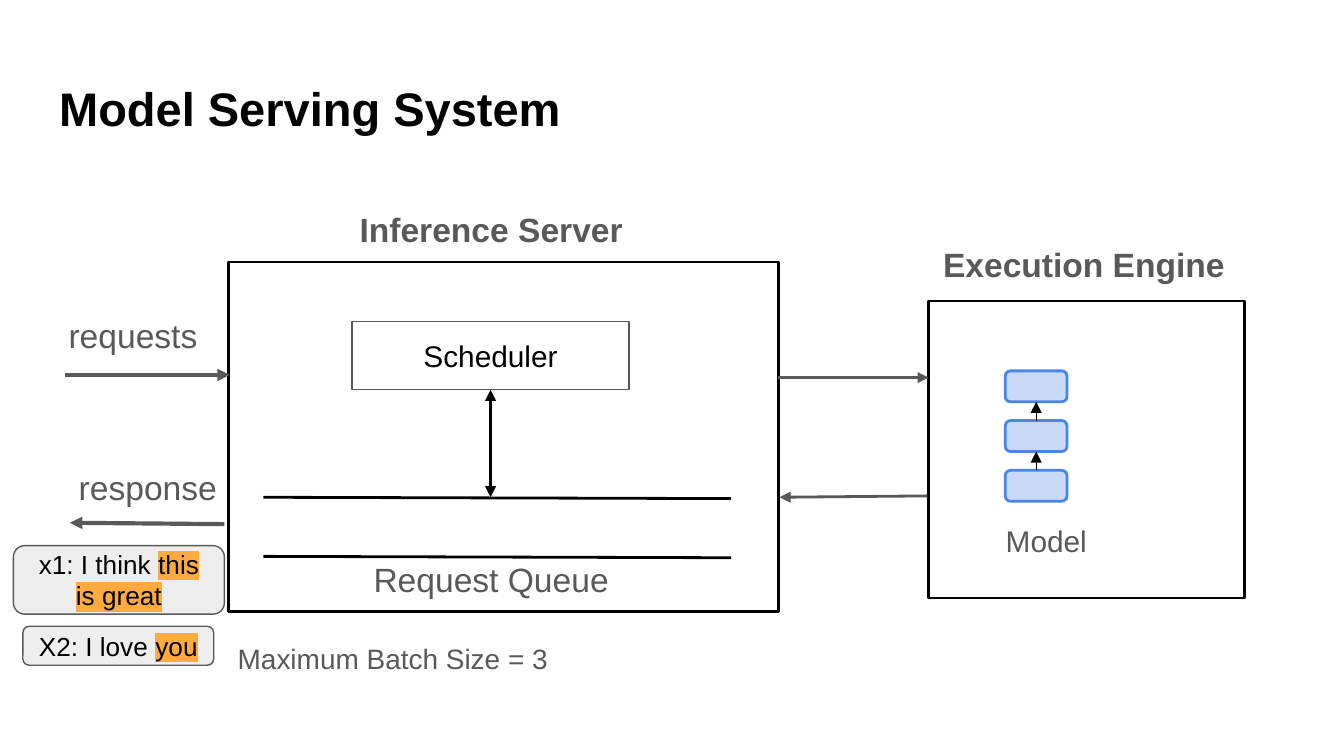
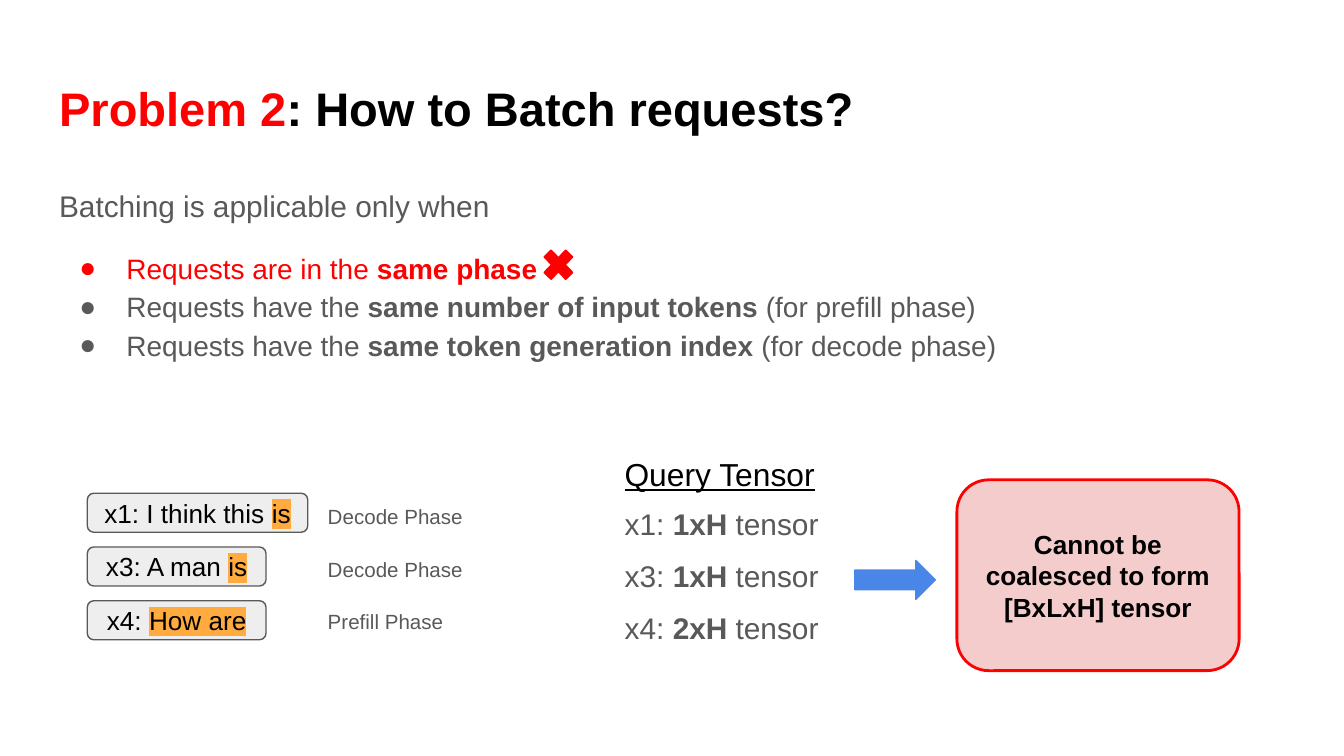
from lxml import etree
from pptx import Presentation
from pptx.dml.color import RGBColor
from pptx.enum.shapes import MSO_CONNECTOR, MSO_SHAPE as Geo
from pptx.enum.text import MSO_ANCHOR as Anchor, MSO_AUTO_SIZE as AutoSize, PP_ALIGN as Align
from pptx.oxml.ns import qn
from pptx.util import Inches, Pt

FONT = "Arial"
COLORS = {
    "black": "000000", "white": "FFFFFF", "gray": "595959", "pale": "EEEEEE",
    "red": "FF0000", "pink": "F4CCCC", "blue": "4A86E8", "sky": "C9DAF8",
    "orange": "FFAB40",
}
RGB = {name: RGBColor.from_string(value) for name, value in COLORS.items()}


def write(paragraph, text, size, color="gray", bold=False, align=Align.LEFT, mark="bold"):
    """Fill a paragraph; pieces between bars are bold, red or highlighted, as mark says."""
    paragraph.alignment = align
    font = paragraph.font
    font.name, font.size, font.bold = FONT, Pt(size), bold
    font.color.rgb = RGB[color]
    for index, piece in enumerate(text.split("|")):
        if not piece:
            continue
        run = paragraph.add_run()
        run.text = piece
        if index % 2 == 0:
            continue
        if mark == "bold":
            run.font.bold = True
        elif mark == "red":
            run.font.color.rgb = RGB["red"]
        else:
            highlight = etree.SubElement(run.font._element, qn("a:highlight"))
            etree.SubElement(highlight, qn("a:srgbClr"), val=COLORS["orange"])


def add_part(shapes, at, text="", size=14, color="gray", bold=False, align=Align.CENTER,
             mark="highlight", anchor=Anchor.MIDDLE, geometry=None, fill="white",
             line="gray", weight=0.75):
    """Add a text box, or a filled shape if a geometry is given."""
    box = [Inches(length) for length in at]
    if geometry is None:
        part = shapes.add_textbox(*box)
    else:
        part = shapes.add_shape(geometry, *box)
        part.shadow.inherit = False
        part.fill.solid()
        part.fill.fore_color.rgb = RGB[fill]
        part.line.color.rgb = RGB[line]
        part.line.width = Pt(weight)
    frame = part.text_frame
    frame.word_wrap = True
    frame.vertical_anchor = anchor
    frame.margin_left = frame.margin_right = frame.margin_top = frame.margin_bottom = Inches(0.1)
    if text:
        write(frame.paragraphs[0], text, size, color, bold, align, mark)
    return part


prs = Presentation()
prs.slide_width = Inches(10)
prs.slide_height = prs.slide_width * 9 // 16
serving = prs.slides.add_slide(prs.slide_layouts[5])
batching = prs.slides.add_slide(prs.slide_layouts[1])

# Placeholders shared by both slides
for slide, heading in ((serving, "Model Serving System"),
                       (batching, "|Problem 2|: How to Batch requests?")):
    for placeholder in slide.placeholders:
        is_title = placeholder.placeholder_format.idx == 0
        placeholder.left, placeholder.width = Inches(0.34), Inches(9.32)
        placeholder.top = Inches(0.49 if is_title else 1.26)
        placeholder.height = Inches(0.63 if is_title else 3.74)
        frame = placeholder.text_frame
        frame.auto_size = AutoSize.NONE
        frame.vertical_anchor = Anchor.TOP
        frame.margin_left = frame.margin_right = Inches(0.1)
        frame.margin_top = frame.margin_bottom = Inches(0.1)
    write(slide.shapes.title.text_frame.paragraphs[0], heading, 25.2, "black", True, mark="red")

# Slide 1: server, engine and the requests between them
shapes = serving.shapes
for frame_at in ((1.7, 1.95, 4.09, 2.6), (6.91, 2.24, 2.35, 2.21)):
    add_part(shapes, frame_at, geometry=Geo.RECTANGLE, line="black", weight=1.5)
scheduler = add_part(shapes, (2.62, 2.39, 2.06, 0.51), "Scheduler", 16, "black",
                     geometry=Geo.RECTANGLE)

for at, label, size, bold, align in (
    ((0.34, 2.31, 1.3, 0.37), "requests", 18, False, Align.CENTER),
    ((0.45, 3.44, 1.3, 0.37), "response", 18, False, Align.CENTER),
    ((2.31, 1.52, 2.69, 0.37), "Inference Server", 18, True, Align.CENTER),
    ((6.72, 1.78, 2.69, 0.37), "Execution Engine", 18, True, Align.CENTER),
    ((2.42, 4.18, 2.47, 0.26), "Request Queue", 18, False, Align.CENTER),
    ((1.67, 4.71, 2.69, 0.37), "Maximum Batch Size = 3", 15, False, Align.LEFT),
    ((7.3, 3.89, 0.97, 0.26), "Model", 16, False, Align.CENTER),
):
    add_part(shapes, at, label, size, bold=bold, align=align)

for at, response in (((0.1, 4.06, 1.57, 0.51), "x1: I think |this is great|"),
                     ((0.17, 4.66, 1.42, 0.29), "X2: I love |you|")):
    add_part(shapes, at, response, color="black", geometry=Geo.ROUNDED_RECTANGLE, fill="pale")

model = shapes.add_group_shape().shapes
layers = [add_part(model, (7.48, 3.5 - 0.37 * i, 0.46, 0.23), geometry=Geo.ROUNDED_RECTANGLE,
                   fill="sky", line="blue", weight=1.5) for i in range(3)]

# Each link: start and end, colour, weight, arrowheads, joined start and end shapes
links = [
    (shapes, (0.48, 2.79, 1.71, 2.79), "gray", 2.25, ["tailEnd"], None, None),
    (shapes, (1.67, 3.9, 0.52, 3.89), "gray", 2.25, ["tailEnd"], None, None),
    (shapes, (5.79, 2.81, 6.91, 2.81), "gray", 1.5, ["tailEnd"], None, None),
    (shapes, (6.9, 3.69, 5.8, 3.7), "gray", 1.5, ["tailEnd"], None, None),
    (shapes, (1.96, 3.7, 5.44, 3.71), "black", 1.5, [], None, None),
    (shapes, (1.96, 4.14, 5.44, 4.15), "black", 1.5, [], None, None),
    (shapes, (3.65, 2.9, 3.65, 3.7), "black", 1.5, ["headEnd", "tailEnd"], (scheduler, 2), None),
]
for i, (lower, upper) in enumerate(zip(layers, layers[1:])):
    y = 3.5 - 0.37 * i
    links.append((model, (7.71, y, 7.71, y - 0.14), "black", 0.75, ["tailEnd"],
                  (lower, 0), (upper, 2)))
for owner, ends, color, weight, heads, start, end in links:
    link = owner.add_connector(MSO_CONNECTOR.STRAIGHT, *[Inches(v) for v in ends])
    if start:
        link.begin_connect(*start)
    if end:
        link.end_connect(*end)
    link.line.color.rgb = RGB[color]
    link.line.width = Pt(weight)
    for head in heads:
        etree.SubElement(link.line._get_or_add_ln(), qn(f"a:{head}"), type="triangle")
    etree.SubElement(link._element.spPr, qn("a:effectLst"))

# Slide 2: conditions for batching
conditions = batching.placeholders[1].text_frame
intro = conditions.paragraphs[0]
intro_props = intro._p.get_or_add_pPr()
intro_props.set("marL", "0")
intro_props.set("indent", "0")
etree.SubElement(intro_props, qn("a:buNone"))
intro.line_spacing, intro.space_before = 1.15, Pt(0)
write(intro, "Batching is applicable only when", 16)

for text, color, gap in (
    ("Requests are in the |same phase|", "red", 12),
    ("Requests have the |same number of input tokens| (for prefill phase)", "gray", 0),
    ("Requests have the |same token generation index| (for decode phase)", "gray", 0),
):
    condition = conditions.add_paragraph()
    props = condition._p.get_or_add_pPr()
    props.set("marL", str(Inches(0.5)))
    props.set("indent", str(Inches(-0.35)))
    bullet_color = etree.SubElement(props, qn("a:buClr"))
    etree.SubElement(bullet_color, qn("a:srgbClr"), val=COLORS[color])
    etree.SubElement(props, qn("a:buFont"), typeface=FONT)
    etree.SubElement(props, qn("a:buChar"), char="●")
    condition.line_spacing, condition.space_before = 1.15, Pt(gap)
    write(condition, text, 15, color)

shapes = batching.shapes
add_part(shapes, (4, 1.81, 0.31, 0.32), geometry=Geo.MATH_MULTIPLY, fill="red", line="red")

# One row per request: its text, phase and query tensor
for i, (request, width, phase, tensor) in enumerate((
    ("x1: I think this |is|", 1.64, "Decode Phase", "x1: |1xH| tensor"),
    ("x3: A man |is|", 1.33, "Decode Phase", "x3: |1xH| tensor"),
    ("x4: |How are|", 1.33, "Prefill Phase", "x4: |2xH| tensor"),
)):
    add_part(shapes, (0.65, 3.67 + 0.4 * i, width, 0.29), request, color="black",
             geometry=Geo.ROUNDED_RECTANGLE, fill="pale")
    top = 3.66 + 0.39 * i
    add_part(shapes, (2.34, top, 1.25, 0.32), phase, 11, align=Align.LEFT, anchor=Anchor.TOP)
    add_part(shapes, (4.55, top, 1.78, 0.47), tensor, 16, align=Align.LEFT, mark="bold",
             anchor=Anchor.TOP)

add_part(shapes, (7.12, 3.57, 2.1, 1.42), "Cannot be coalesced to form [BxLxH] tensor",
         color="black", bold=True, geometry=Geo.ROUNDED_RECTANGLE, fill="pink", line="red",
         weight=1.5)
add_part(shapes, (6.36, 4.17, 0.6, 0.29), geometry=Geo.RIGHT_ARROW, fill="blue", line="blue")
query_heading = add_part(shapes, (4.24, 3.31, 2.23, 0.43), "Query Tensor", 17, "black")
query_heading.text_frame.paragraphs[0].font.underline = True

prs.save("out.pptx")
